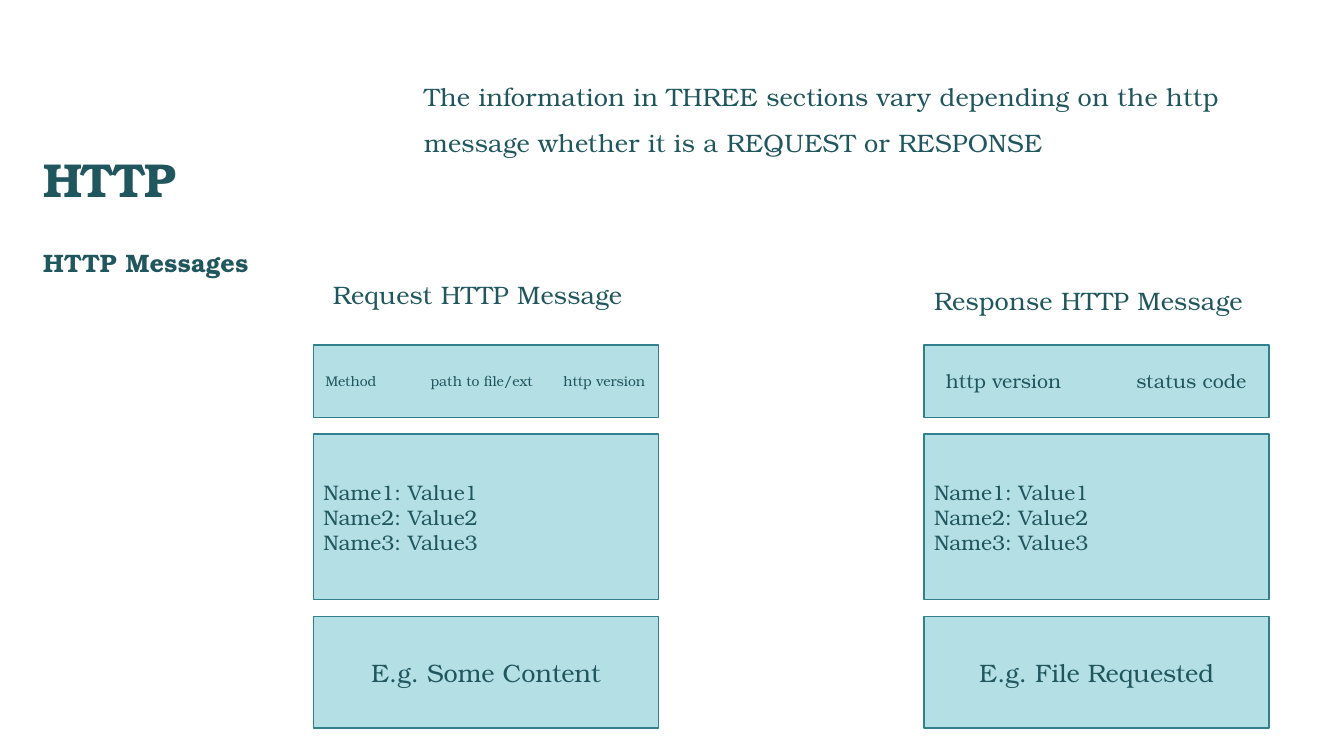
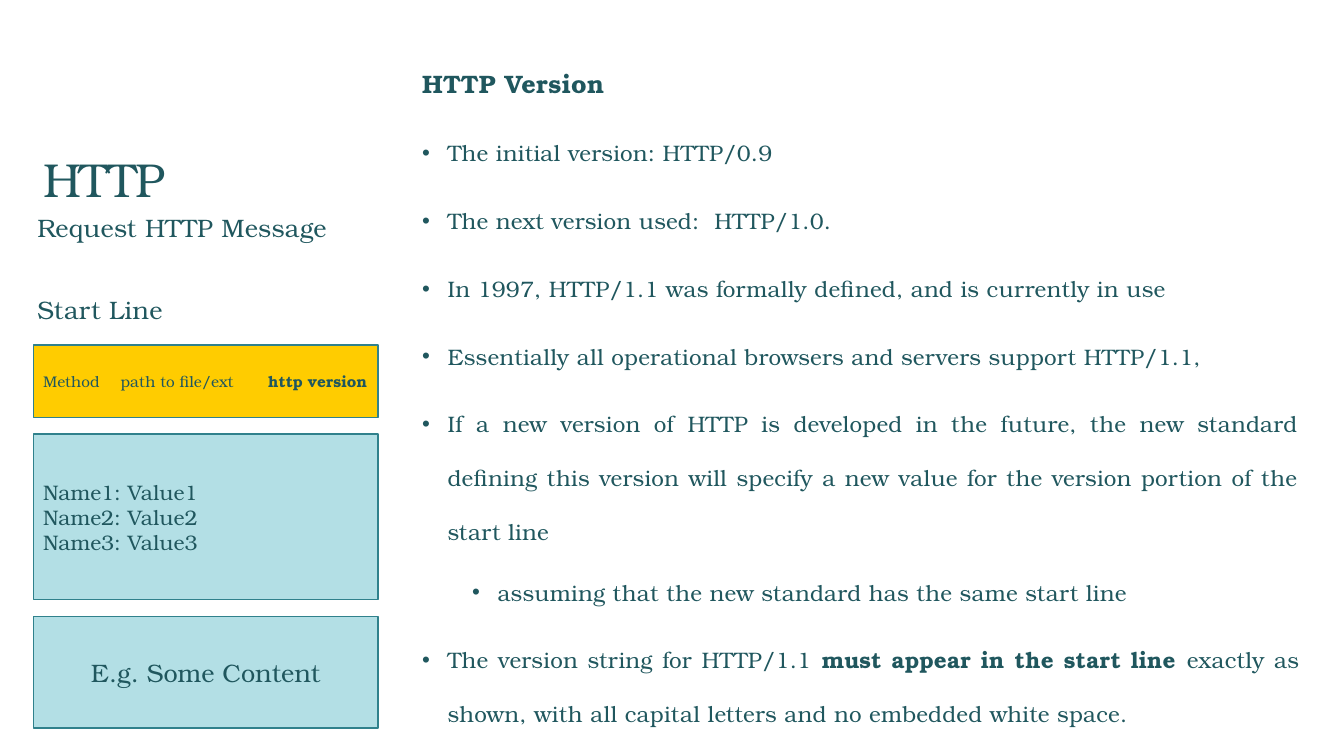
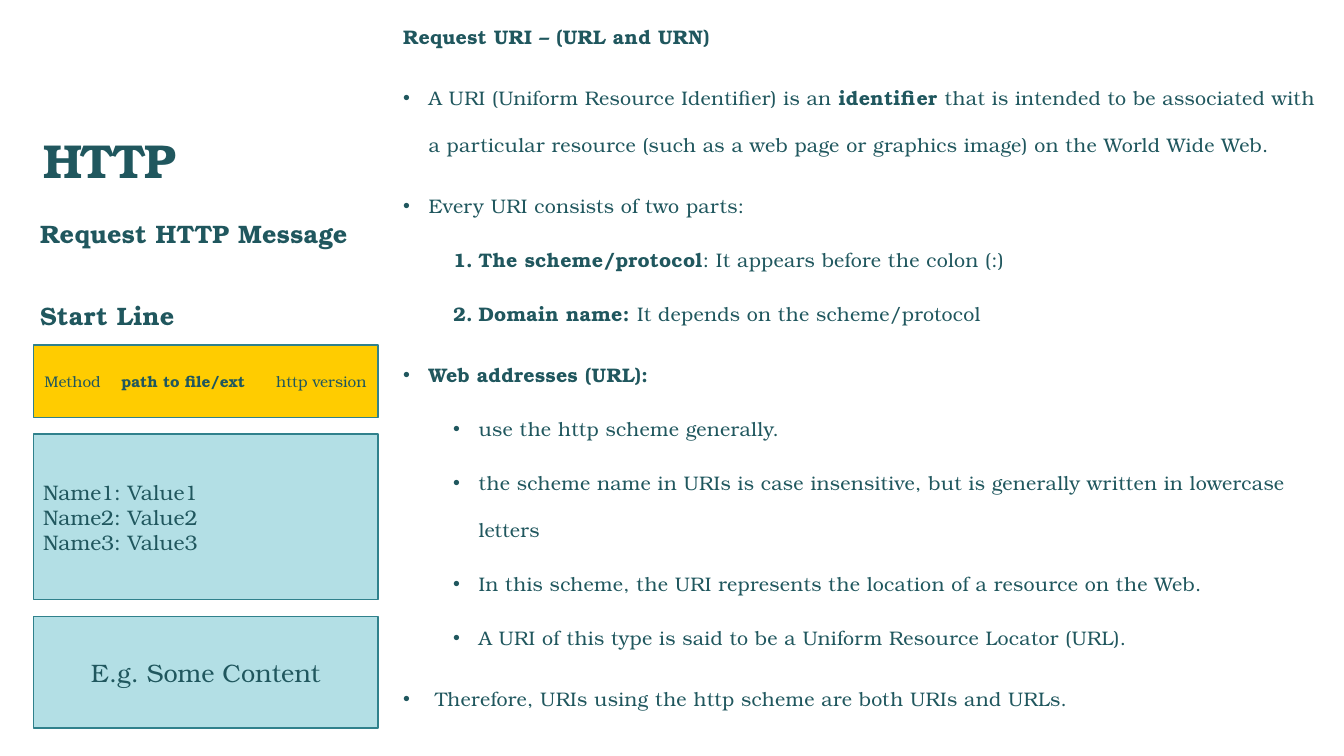
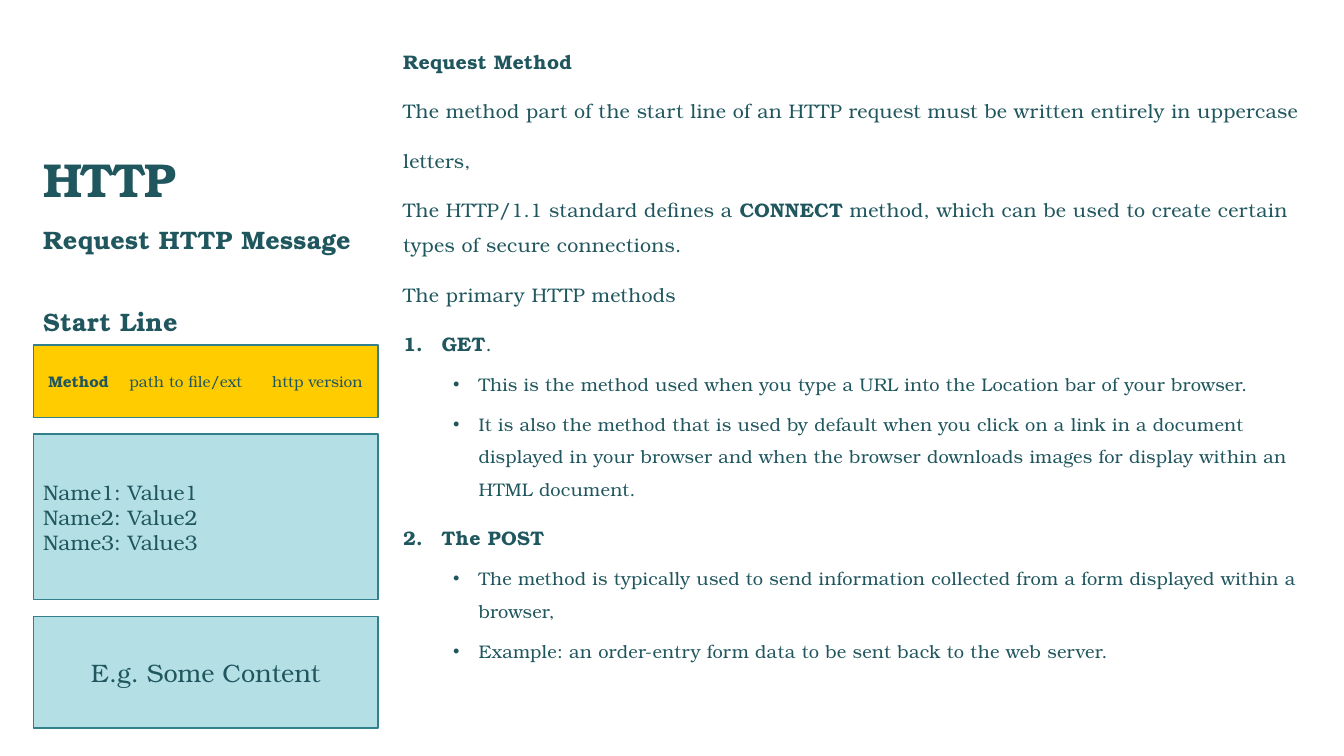
import pptx
import pptx.util
import pptx.dml.color
import pptx.enum.shapes
import pptx.enum.text
import lxml.etree
from pptx.util import Cm
from pptx.oxml.ns import qn

FONT = "TeX Gyre Bonum"
INK = "20575E"
PALE = "B3DFE5"
GOLD = "FFCC00"
EDGE = "30818C"
LEFT = pptx.enum.text.PP_ALIGN.LEFT
CENTER = pptx.enum.text.PP_ALIGN.CENTER
JUSTIFY = pptx.enum.text.PP_ALIGN.JUSTIFY
TOP = pptx.enum.text.MSO_ANCHOR.TOP
MIDDLE = pptx.enum.text.MSO_ANCHOR.MIDDLE
BOTTOM = pptx.enum.text.MSO_ANCHOR.BOTTOM

SIDE_LEFT = 0.84
STACK_TOP = 8.69
STACK_WIDTH = 8.69
STACK_HEIGHTS = (1.83, 4.17, 2.82)
STACK_GAP = 0.42
INSET = 0.25

LIST_STYLES = {
    "bullet": (0, 0.64, 0.64, "•"),
    "number": (0, 0.97, 0.97, None),
    "sub": (1, 1.9, 0.64, "•"),
    "subnumber": (1, 1.9, 0.64, None),
}

HEADERS = ["Name1: Value1", "Name2: Value2", "Name3: Value3"]

VERSION_ITEMS = [
    ("heading", "**HTTP Version**"),
    ("bullet", "The initial version: HTTP/0.9"),
    ("bullet", "The next version used:  HTTP/1.0."),
    ("bullet", "In 1997, HTTP/1.1 was formally defined, and is currently in use"),
    ("bullet", "Essentially all operational browsers and servers support HTTP/1.1,"),
    ("bullet", "If a new version of HTTP is developed in the future, the new standard "
               "defining this version will specify a new value for the version portion "
               "of the start line"),
    ("sub", "assuming that the new standard has the same start line"),
    ("bullet", "The version string for HTTP/1.1 **must appear in the start line **"
               "exactly as shown, with all capital letters and no embedded white space."),
]

URI_ITEMS = [
    ("heading", "**Request URI – (URL and URN)**"),
    ("bullet", "A URI (Uniform Resource Identifier) is an **identifier **that is intended "
               "to be associated with a particular resource (such as a web page or "
               "graphics image) on the World Wide Web."),
    ("bullet", "Every URI consists of two parts:"),
    ("subnumber", "**The scheme/protocol**: It appears before the colon (:)"),
    ("subnumber", "**Domain name: **It depends on the scheme/protocol"),
    ("bullet", "**Web addresses (URL):**"),
    ("sub", "use the http scheme generally."),
    ("sub", "the scheme name in URIs is case insensitive, but is generally written "
            "in lowercase letters"),
    ("sub", "In this scheme, the URI represents the location of a resource on the Web."),
    ("sub", "A URI of this type is said to be a Uniform Resource Locator (URL)."),
    ("bullet", " Therefore, URIs using the http scheme are both URIs and URLs."),
]

METHOD_ITEMS = [
    ("heading", "**Request Method**"),
    ("plain", "The method part of the start line of an HTTP request must be written "
              "entirely in uppercase"),
    ("plain", "letters,"),
    ("plain", "The HTTP/1.1 standard defines a **CONNECT** method, which can be used to "
              "create certain types of secure connections."),
    ("plain", "The primary HTTP methods"),
    ("number", "**GET**."),
    ("sub", "This is the method used when you type a URL into the Location bar of your "
            "browser."),
    ("sub", "It is also the method that is used by default when you click on a link in a "
            "document displayed in your browser and when the browser downloads images "
            "for display within an HTML document."),
    ("number", "**The POST**"),
    ("sub", "The method is typically used to send information collected from a form "
            "displayed within a browser,"),
    ("sub", "Example: an order-entry form data to be sent back to the web server."),
]


def color(value):
    return pptx.dml.color.RGBColor.from_string(value)


def write_spans(para, text, size, tracking=0):
    for index, piece in enumerate(text.split("**")):
        if piece:
            span = para.add_run()
            span.text = piece
            span.font.name = FONT
            span.font.size = pptx.util.Pt(size)
            span.font.bold = index % 2 == 1
            span.font.color.rgb = color(INK)
            if tracking:
                span.font._element.set("spc", str(tracking))


def add_paragraphs(frame, texts, size, align=LEFT, tracking=0):
    for index, text in enumerate(texts):
        para = frame.add_paragraph() if index else frame.paragraphs[0]
        para.alignment = align
        write_spans(para, text, size, tracking)


def set_list_style(para, kind):
    level, margin, hanging, mark = LIST_STYLES[kind]
    para.level = level
    properties = para._p.get_or_add_pPr()
    properties.set("marL", str(Cm(margin)))
    properties.set("indent", str(-Cm(hanging)))
    if mark:
        lxml.etree.SubElement(properties, qn("a:buFont"), typeface="Arial")
        lxml.etree.SubElement(properties, qn("a:buChar"), char=mark)
    else:
        lxml.etree.SubElement(properties, qn("a:buFont"), typeface=FONT)
        lxml.etree.SubElement(properties, qn("a:buAutoNum"), type="arabicPeriod")


def add_text(page, place, texts, size, align=LEFT, anchor=TOP, tracking=20,
             leading=0.9, before=10):
    box = page.shapes.add_textbox(*map(Cm, place))
    frame = box.text_frame
    frame.word_wrap = True
    frame.vertical_anchor = anchor
    add_paragraphs(frame, texts, size, align, tracking)
    for para in frame.paragraphs:
        para.line_spacing = leading
        para.space_before = pptx.util.Pt(before)
    return frame


def add_title(page, text, bottom=5.35):
    add_text(page, (SIDE_LEFT, bottom - 4.45, 8.48, 4.45), [text], 34,
             anchor=BOTTOM, tracking=-100, before=0)


def add_list(page, place, items, size, leading, sizes, align=LEFT):
    frame = add_text(page, place, [], size)
    for index, (kind, text) in enumerate(items):
        para = frame.add_paragraph() if index else frame.paragraphs[0]
        para.alignment = align
        para.line_spacing = leading
        para.space_before = pptx.util.Pt(5 if kind.startswith("sub") else 10)
        if kind in LIST_STYLES:
            set_list_style(para, kind)
        write_spans(para, text, sizes.get(kind, size), 20)


def add_panel(page, place, fill, texts, size, align=LEFT):
    box = page.shapes.add_shape(pptx.enum.shapes.MSO_SHAPE.RECTANGLE, *map(Cm, place))
    box.shadow.inherit = False
    box.fill.solid()
    box.fill.fore_color.rgb = color(fill)
    box.line.color.rgb = color(EDGE)
    box.line.width = pptx.util.Pt(1)
    box.text_frame.word_wrap = True
    box.text_frame.vertical_anchor = MIDDLE
    add_paragraphs(box.text_frame, texts, size, align)
    return box.text_frame


def set_columns(frame, start, stops):
    frame.margin_left = Cm(INSET + start)
    frame.margin_right = 0
    properties = frame.paragraphs[0]._p.get_or_add_pPr()
    tabs = lxml.etree.SubElement(properties, qn("a:tabLst"))
    for stop in stops:
        lxml.etree.SubElement(tabs, qn("a:tab"), pos=str(Cm(stop - start)), algn="l")


def add_message(page, left, fields, size, start, stops, content, fill=PALE):
    places = []
    top = STACK_TOP
    for height in STACK_HEIGHTS:
        places.append((left, top, STACK_WIDTH, height))
        top += height + STACK_GAP
    start_line = add_panel(page, places[0], fill, ["\t".join(fields)], size)
    set_columns(start_line, start, stops)
    add_panel(page, places[1], PALE, HEADERS, 15)
    add_panel(page, places[2], PALE, [content], 18, CENTER)


def add_request_side(page, left, top, texts, fields, start, stops):
    frame = add_text(page, (left, top, 8.84, 3.2), texts, 18)
    frame.paragraphs[1].space_before = pptx.util.Pt(39.3)
    add_message(page, SIDE_LEFT, fields, 11, start, stops, "E.g. Some Content", GOLD)


def add_page(deck):
    return deck.slides.add_slide(deck.slide_layouts[6])


def build_messages(deck):
    page = add_page(deck)
    add_title(page, "**HTTP**")
    add_text(page, (SIDE_LEFT, 6.2, 8.84, 10.59), ["**HTTP Messages**"], 18)
    add_text(page, (10.44, 1.55, 22.61, 3.12),
             ["The information in THREE sections vary depending on the http message "
              "whether it is a REQUEST or RESPONSE"], 18, leading=1.5)
    add_text(page, (7.62, 6.86, 8.84, 1.24), ["Request HTTP Message"], 18, CENTER, MIDDLE)
    add_text(page, (23.01, 7.01, 8.84, 1.24), ["Response HTTP Message"], 18, CENTER, MIDDLE)
    add_message(page, 7.9, ["Method", "path to file/ext", "http version"], 10,
                0.05, (2.7, 6.05), "E.g. Some Content")
    add_message(page, 23.29, ["http version", "status code"], 14,
                0.3, (5.1,), "E.g. File Requested")


def build_version(deck):
    page = add_page(deck)
    add_title(page, "HTTP")
    add_request_side(page, 0.69, 5.31, ["Request HTTP Message", "Start Line"],
                     ["Method", "path to file/ext", "**http version**"], 0, (1.95, 5.67))
    add_list(page, (10.39, 0.84, 22.61, 17.35), VERSION_ITEMS, 16, 2.0,
             {"heading": 18}, JUSTIFY)


def build_uri(deck):
    page = add_page(deck)
    add_title(page, "**HTTP**", 4.88)
    add_request_side(page, 0.76, 5.46, ["**Request HTTP Message**", "**Start Line**"],
                     ["Method", "**path to file/ext**", "http version"],
                     0.03, (1.97, 5.87))
    add_list(page, (9.91, -0.1, 23.5, 19.15), URI_ITEMS, 14, 2.0, {})


def build_method(deck):
    page = add_page(deck)
    add_title(page, "**HTTP**")
    add_request_side(page, SIDE_LEFT, 5.61, ["**Request HTTP Message**", "**Start Line**"],
                     ["**Method**", "path to file/ext", "http version"],
                     0.13, (2.17, 5.77))
    add_list(page, (9.91, 0.84, 23.12, 16.48), METHOD_ITEMS, 14, 1.5, {"sub": 13})


def main():
    deck = pptx.Presentation()
    deck.slide_width = Cm(33.87)
    deck.slide_height = Cm(19.05)
    build_messages(deck)
    build_version(deck)
    build_uri(deck)
    build_method(deck)
    deck.save("out.pptx")


if __name__ == "__main__":
    main()
